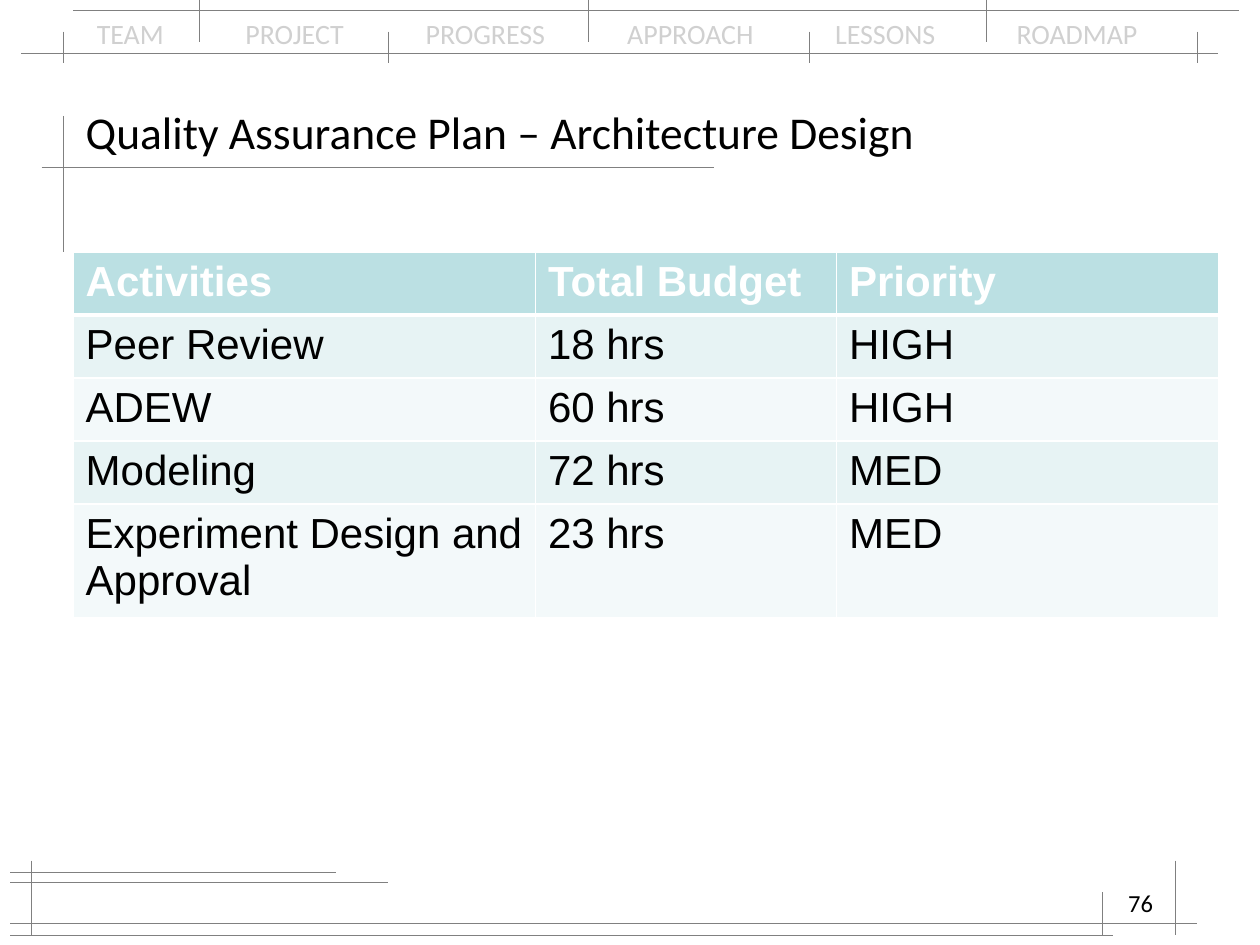
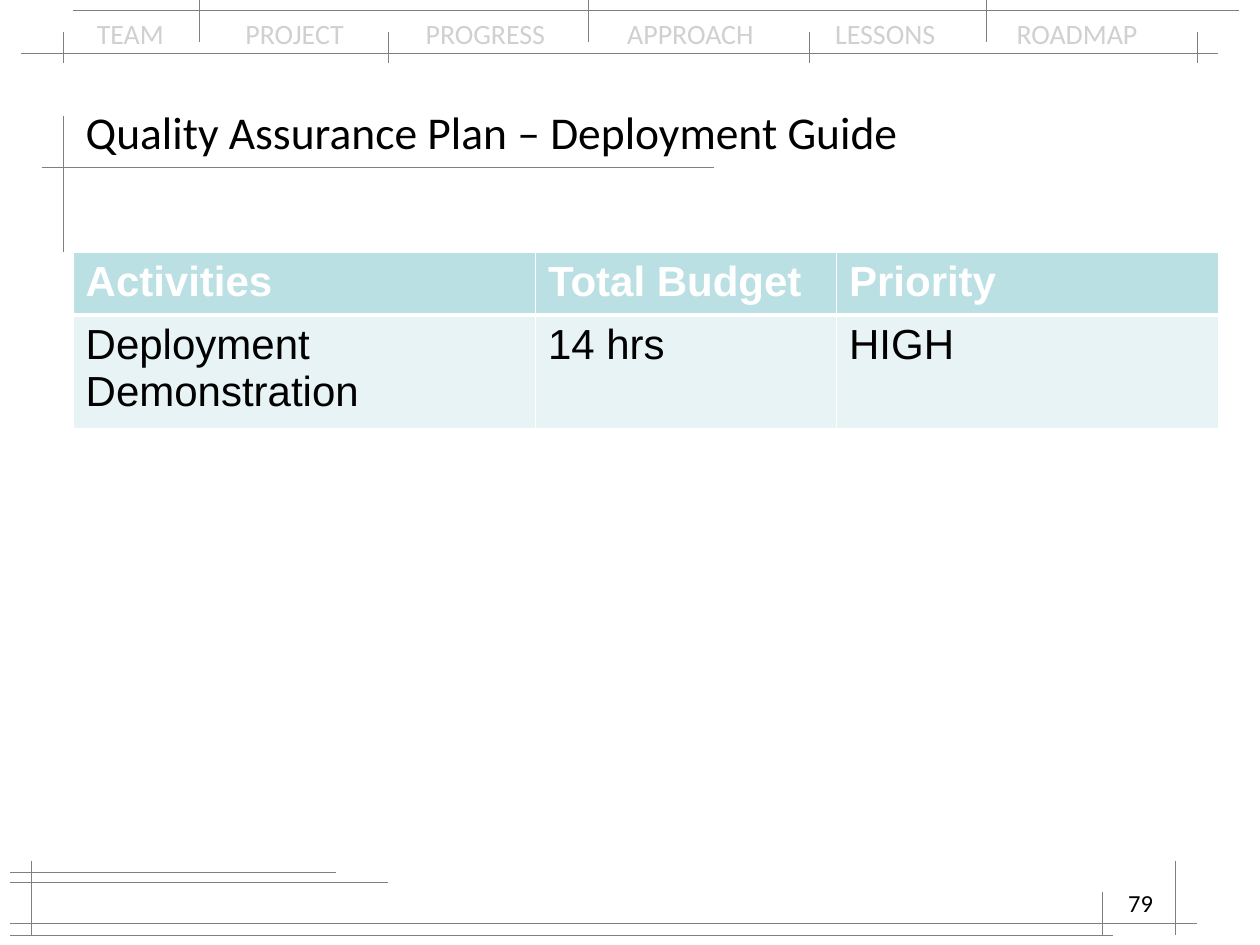
from dataclasses import dataclass

from lxml import etree
from pptx import Presentation
from pptx.dml.color import RGBColor
from pptx.enum.shapes import MSO_CONNECTOR
from pptx.enum.text import MSO_ANCHOR, MSO_AUTO_SIZE, PP_ALIGN
from pptx.oxml.ns import qn
from pptx.util import Inches, Pt

STRAIGHT = MSO_CONNECTOR.STRAIGHT
MIDDLE = MSO_ANCHOR.MIDDLE
TOP = MSO_ANCHOR.TOP
LEFT = PP_ALIGN.LEFT
RIGHT = PP_ALIGN.RIGHT
NO_AUTOSIZE = MSO_AUTO_SIZE.NONE


@dataclass(frozen=True)
class Theme:
    heading_font: str = "Calibri"
    table_font: str = "Arial"
    black: str = "000000"
    white: str = "FFFFFF"
    navigation: str = "D0D0D0"
    rule: str = "808080"
    header_fill: str = "BBE0E3"
    band_fills: tuple = ("E7F3F4", "F3F9FA")
    title_size: float = 26
    table_size: float = 24
    navigation_size: float = 16
    number_size: float = 14
    rule_width: float = 0.3
    border_width: float = 1
    header_border_width: float = 3


theme = Theme()

SECTIONS = ["TEAM", "PROJECT", "PROGRESS", "APPROACH", "LESSONS", "ROADMAP"]
SECTION_TABS = [1.18, 2.61, 4.21, 5.86, 7.3]

HORIZONTAL_RULES = [
    (0.42, 0.17, 9.67),
    (0.08, 0.58, 9.83),
    (1.33, 0.33, 5.67),
    (7, 0.08, 3.08),
    (7.33, 0.08, 9.5),
    (6.92, 0.08, 2.67),
    (7.42, 0.08, 8.83),
]
VERTICAL_RULES = [(0.5, 0.92, 2), (0.25, 6.83, 7.42), (9.33, 6.83, 7.42), (8.75, 7.08, 7.42)]
VERTICAL_RULES += [(x, 0.25, 0.5) for x in (0.5, 3.08, 6.42, 9.5)]
VERTICAL_RULES += [(x, 0, 0.33) for x in (1.58, 4.67, 7.83)]
RULES = [(left, y, right, y) for y, left, right in HORIZONTAL_RULES]
RULES += [(x, top, x, bottom) for x, top, bottom in VERTICAL_RULES]

COLUMN_WIDTHS = [3.67, 2.39, 3.03]
ROW_HEIGHT = 0.41
HEADINGS = ("Activities", "Total Budget", "Priority")

PLANS = [
    ("Architecture Design", "76", [
        ("Peer Review", "18 hrs", "HIGH"),
        ("ADEW", "60 hrs", "HIGH"),
        ("Modeling", "72 hrs", "MED"),
        ("Experiment Design and Approval", "23 hrs", "MED"),
    ]),
    ("Deployment Guide", "79", [
        ("Deployment Demonstration", "14 hrs", "HIGH"),
    ]),
]


def write_text(frame, text, font, size, color, align=LEFT, bold=False):
    paragraph = frame.paragraphs[0]
    paragraph.alignment = align
    run = paragraph.add_run()
    run.text = text
    run.font.name = font
    run.font.size = Pt(size)
    run.font.bold = bold
    run.font.color.rgb = RGBColor.from_string(color)
    return paragraph


def add_border(cell, side, width):
    properties = cell._tc.get_or_add_tcPr()
    border = etree.SubElement(properties, qn(f"a:ln{side}"), w=str(Pt(width)))
    fill = etree.SubElement(border, qn("a:solidFill"))
    etree.SubElement(fill, qn("a:srgbClr"), val=theme.white)


presentation = Presentation()
presentation.slide_width = Inches(10)
presentation.slide_height = Inches(7.5)
title_only = presentation.slide_layouts[5]

for subject, page_number, activities in PLANS:
    slide = presentation.slides.add_slide(title_only)

    navigation = slide.shapes.add_textbox(Inches(0.67), Inches(0.08), Inches(8.67), Inches(0.37))
    navigation.text_frame.word_wrap = True
    paragraph = write_text(navigation.text_frame, "\t".join(SECTIONS), theme.heading_font,
                           theme.navigation_size, theme.navigation)
    tab_list = etree.SubElement(paragraph._p.get_or_add_pPr(), qn("a:tabLst"))
    for position in SECTION_TABS:
        etree.SubElement(tab_list, qn("a:tab"), pos=str(Inches(position)), algn="l")

    for ends in RULES:
        rule = slide.shapes.add_connector(STRAIGHT, *[Inches(end) for end in ends])
        rule.line.color.rgb = RGBColor.from_string(theme.rule)
        rule.line.width = Pt(theme.rule_width)
        etree.SubElement(rule._element.spPr, qn("a:effectLst"))

    title = slide.shapes.title
    title.left, title.top = Inches(0.58), Inches(0.75)
    title.width, title.height = Inches(8.83), Inches(0.58)
    title.text_frame.auto_size = NO_AUTOSIZE
    title.text_frame.vertical_anchor = MIDDLE
    write_text(title.text_frame, f"Quality Assurance Plan – {subject}", theme.heading_font,
               theme.title_size, theme.black)

    rows = [HEADINGS] + activities
    table = slide.shapes.add_table(
        len(rows), len(HEADINGS), Inches(0.58), Inches(2),
        Inches(sum(COLUMN_WIDTHS)), Inches(ROW_HEIGHT * len(rows))).table
    table.horz_banding = False
    for column, width in zip(table.columns, COLUMN_WIDTHS):
        column.width = Inches(width)
    for row_index, values in enumerate(rows):
        is_header = row_index == 0
        table.rows[row_index].height = Inches(ROW_HEIGHT)
        fill_color = theme.header_fill if is_header else theme.band_fills[(row_index - 1) % 2]
        top_width = theme.header_border_width if row_index == 1 else theme.border_width
        bottom_width = theme.header_border_width if is_header else theme.border_width
        border_widths = {"L": theme.border_width, "R": theme.border_width,
                         "T": top_width, "B": bottom_width}
        for column_index, value in enumerate(values):
            cell = table.cell(row_index, column_index)
            cell.vertical_anchor = TOP
            for side, width in border_widths.items():
                add_border(cell, side, width)
            cell.fill.solid()
            cell.fill.fore_color.rgb = RGBColor.from_string(fill_color)
            write_text(cell.text_frame, value, theme.table_font, theme.table_size,
                       theme.white if is_header else theme.black, bold=is_header)

    number = slide.shapes.add_textbox(Inches(7.17), Inches(7), Inches(2.08), Inches(0.5))
    number.text_frame.word_wrap = True
    write_text(number.text_frame, page_number, theme.heading_font, theme.number_size,
               theme.black, RIGHT)

presentation.save("out.pptx")
